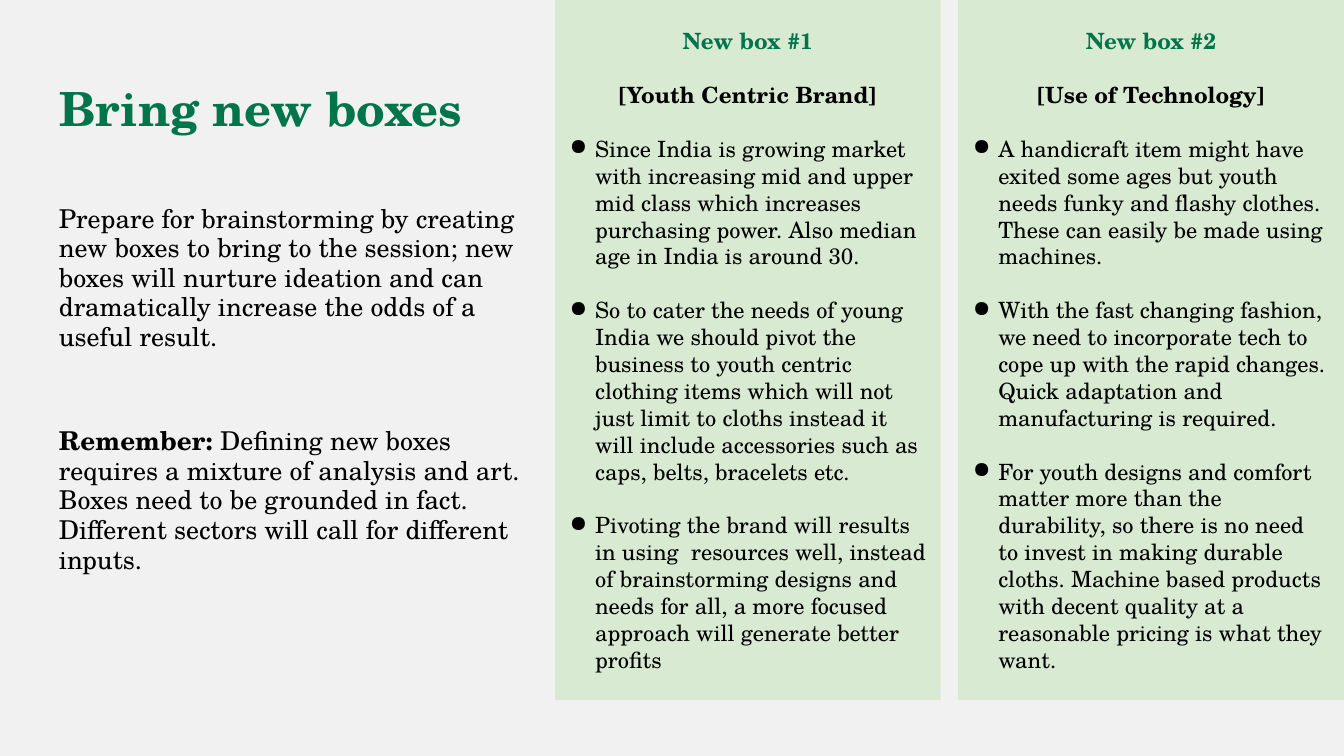
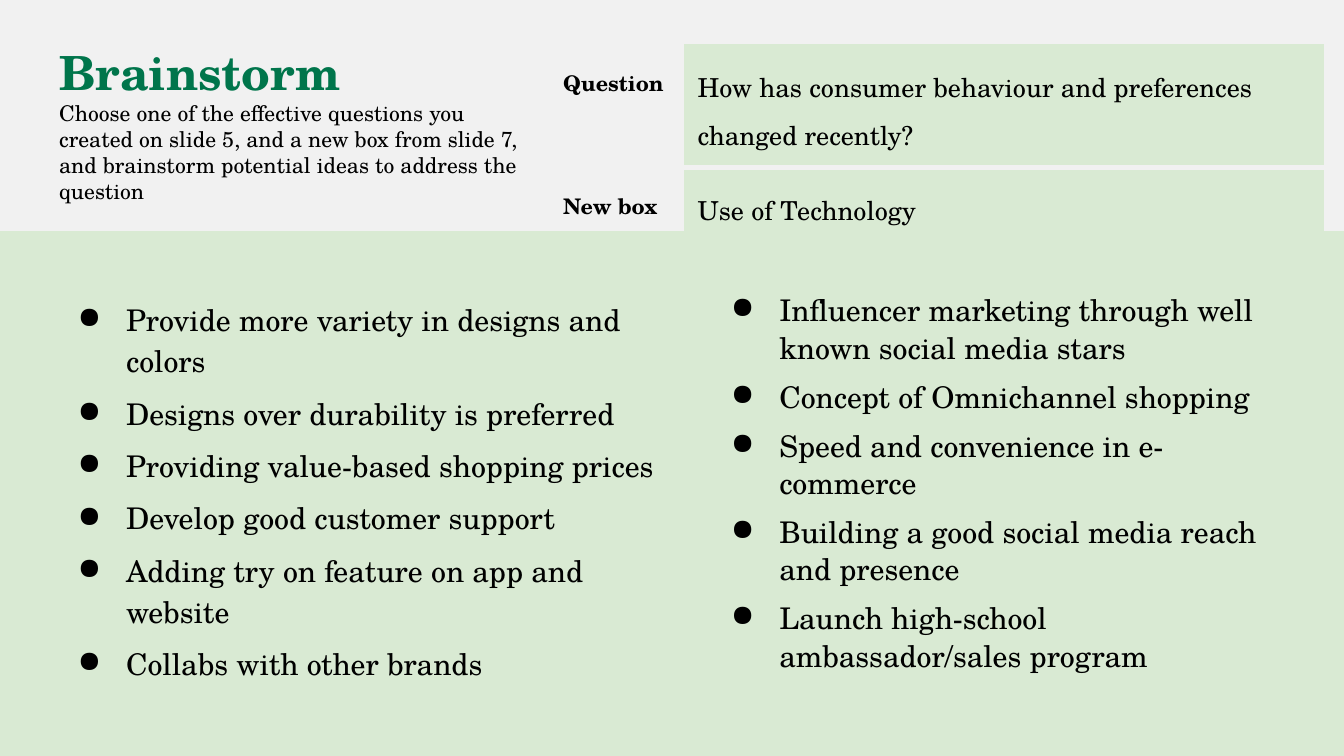
from dataclasses import dataclass
from typing import NamedTuple, Optional, Sequence

from lxml.etree import SubElement
from pptx import Presentation
from pptx.dml.color import RGBColor
from pptx.enum.shapes import MSO_SHAPE
from pptx.enum.text import MSO_ANCHOR, MSO_AUTO_SIZE, PP_ALIGN
from pptx.oxml.ns import qn
from pptx.util import Emu, Pt

EMU_PER_PX = 4572  # 200 px to the inch
SLIDE_W, SLIDE_H = 2000, 1125
INSET = 20
FONT = "TeX Gyre Schola"
GREEN, PALE_GREEN, GREY, BLACK = "00754B", "D9EAD3", "F1F1F1", "000000"
NO_STYLE_NO_GRID = "{2D5ABB26-0587-4C30-8999-92F81FD0307C}"
BLANK_LINE = 14.4


class Box(NamedTuple):
    left: int
    top: int
    width: int
    height: int


class Bullet(NamedTuple):
    margin: int
    hanging: int


@dataclass(frozen=True)
class Para:
    text: str
    size: float
    color: str = BLACK
    bold: bool = False
    lead: str = ""
    align: PP_ALIGN = PP_ALIGN.LEFT
    line: float = 1.0
    before: float = 0
    bullet: Optional[Bullet] = None


@dataclass(frozen=True)
class NewBox:
    heading: str
    topic: str
    points: tuple[str, ...]


@dataclass(frozen=True)
class IdeaColumn:
    box: Box
    line: float
    ideas: tuple[str, ...]


NEW_BOXES = (
    NewBox("New box #1", "[Youth Centric Brand]", (
        "Since India is growing market with increasing mid and upper mid class which "
        "increases purchasing power. Also median age in India is around 30.",
        "So to cater the needs of young India we should pivot the business to youth "
        "centric clothing items which will not just limit to cloths instead it will "
        "include accessories such as caps, belts, bracelets etc.",
        "Pivoting the brand will results in using  resources well, instead of "
        "brainstorming designs and needs for all, a more focused  approach will "
        "generate better profits",
    )),
    NewBox("New box #2", "[Use of Technology]", (
        "A handicraft item might have exited some ages but youth needs funky and "
        "flashy clothes. These can easily be made using machines.",
        "With the fast changing fashion, we need to incorporate tech to cope up with "
        "the rapid changes. Quick adaptation and manufacturing is required.",
        "For youth designs and comfort matter more than the durability, so there is no "
        "need to invest in making durable cloths. Machine based products with decent "
        "quality at a reasonable pricing is what they want.",
    )),
)

IDEA_COLUMNS = (
    IdeaColumn(Box(68, 430, 932, 652), 1.15, (
        "Provide more variety in designs and colors",
        "Designs over durability is preferred",
        "Providing value-based shopping prices",
        "Develop good customer support",
        "Adding try on feature on app and website",
        "Collabs with other brands",
    )),
    IdeaColumn(Box(1040, 430, 882, 630), 1.05, (
        "Influencer marketing through well known social media stars",
        "Concept of Omnichannel shopping",
        "Speed and convenience in e-commerce",
        "Building a good social media reach and presence",
        "Launch high-school ambassador/sales program",
    )),
)

BRIEF = (
    ("Question", "How has consumer behaviour and preferences changed recently?"),
    ("New box", "Use of Technology"),
)


def px(length: int) -> Emu:
    return Emu(length * EMU_PER_PX)


def rgb(color: str) -> RGBColor:
    return RGBColor.from_string(color)


def place(box: Box) -> tuple[Emu, ...]:
    return tuple(px(length) for length in box)


def add_bullet(paragraph, bullet: Bullet) -> None:
    props = paragraph._p.get_or_add_pPr()
    props.set("marL", str(px(bullet.margin)))
    props.set("indent", str(px(-bullet.hanging)))
    SubElement(SubElement(props, qn("a:buClr")), qn("a:srgbClr")).set("val", BLACK)
    SubElement(props, qn("a:buChar")).set("char", "●")


def write(frame, paras: Sequence[Para]) -> None:
    for index, para in enumerate(paras):
        paragraph = frame.add_paragraph() if index else frame.paragraphs[0]
        paragraph.alignment = para.align
        paragraph.line_spacing = para.line
        paragraph.space_before = Pt(para.before)
        if para.bullet:
            add_bullet(paragraph, para.bullet)
        font = paragraph.font
        font.name, font.size, font.bold = FONT, Pt(para.size), para.bold
        font.color.rgb = rgb(para.color)
        if para.lead:
            lead = paragraph.add_run()
            lead.text, lead.font.bold = para.lead, True
        paragraph.add_run().text = para.text


def fill_frame(frame, paras: Sequence[Para], anchor=MSO_ANCHOR.MIDDLE,
               top: int = INSET, bottom: int = INSET) -> None:
    """Set wrapping, anchor and insets of a text frame, then its paragraphs."""
    frame.word_wrap = True
    frame.auto_size = MSO_AUTO_SIZE.NONE
    frame.vertical_anchor = anchor
    frame.margin_left = frame.margin_right = px(INSET)
    frame.margin_top, frame.margin_bottom = px(top), px(bottom)
    write(frame, paras)


def add_titled_slide(prs, title: str, box: Box, *subtitle: Para):
    slide = prs.slides.add_slide(prs.slide_layouts[5])
    slide.background.fill.solid()
    slide.background.fill.fore_color.rgb = rgb(GREY)
    heading = slide.shapes.title
    heading.left, heading.top, heading.width, heading.height = place(box)
    fill_frame(heading.text_frame, [Para(title, 25.2, GREEN, True), *subtitle],
               MSO_ANCHOR.TOP)
    return slide


def add_panel(slide, box: Box):
    panel = slide.shapes.add_shape(MSO_SHAPE.RECTANGLE, *place(box))
    panel.shadow.inherit = False
    panel.fill.solid()
    panel.fill.fore_color.rgb = rgb(PALE_GREEN)
    panel.line.fill.background()
    return panel


def add_text(slide, box: Box, paras: Sequence[Para], **insets: int) -> None:
    fill_frame(slide.shapes.add_textbox(*place(box)).text_frame, paras, **insets)


def add_new_box(slide, box: Box, content: NewBox) -> None:
    bullet = Bullet(40, 38)
    paras = [
        Para(content.heading, 12, GREEN, True, align=PP_ALIGN.CENTER),
        Para(content.topic, 12, bold=True, align=PP_ALIGN.CENTER, before=BLANK_LINE),
        *(Para(point, 12, before=BLANK_LINE, bullet=bullet) for point in content.points),
    ]
    fill_frame(add_panel(slide, box).text_frame, paras)


def add_cell_border(cell, side: str) -> None:
    line = SubElement(cell._tc.get_or_add_tcPr(), qn(f"a:{side}"), w=str(Pt(3)))
    SubElement(SubElement(line, qn("a:solidFill")), qn("a:srgbClr")).set("val", GREY)


def add_brief_table(slide) -> None:
    frame = slide.shapes.add_table(len(BRIEF), 2, *place(Box(818, 66, 1152, 204)))
    table = frame.table
    table.first_row = table.horz_banding = False
    table._tbl.tblPr.find(qn("a:tableStyleId")).text = NO_STYLE_NO_GRID
    for column, width in zip(table.columns, (200, 952)):
        column.width = px(width)
    for row, (texts, border) in enumerate(zip(BRIEF, ("lnB", "lnT"))):
        table.rows[row].height = px(102)
        label, answer = table.cell(row, 0), table.cell(row, 1)
        add_cell_border(answer, border)
        label.fill.background()
        answer.fill.solid()
        answer.fill.fore_color.rgb = rgb(PALE_GREEN)
        for cell, text, size in zip((label, answer), texts, (11.5, 14)):
            cell.margin_left = cell.margin_right = px(INSET)
            cell.margin_top = cell.margin_bottom = px(INSET)
            write(cell.text_frame, [Para(text, size, bold=cell is label, line=1.25)])


def build_new_boxes(prs) -> None:
    slide = add_titled_slide(prs, "Bring new boxes", Box(68, 98, 1864, 126))
    add_text(slide, Box(68, 252, 732, 656), [
        Para("Prepare for brainstorming by creating new boxes to bring to the session; "
             "new boxes will nurture ideation and can dramatically increase the odds of "
             "a useful result.", 13.9, line=0.95),
        Para(" Defining new boxes requires a mixture of analysis and art. Boxes need to "
             "be grounded in fact. Different sectors will call for different inputs.",
             13.9, lead="Remember:", line=0.95, before=40),
    ])
    for index, content in enumerate(NEW_BOXES):
        add_new_box(slide, Box(826 + 600 * index, 0, 574, 1042), content)


def build_brainstorm(prs) -> None:
    slide = add_titled_slide(
        prs, "Brainstorm", Box(68, 44, 760, 126),
        Para("Choose one of the effective questions you created on slide 5, and a new box "
             "from slide 7, and brainstorm potential ideas to address the question", 11.6))
    add_panel(slide, Box(0, 344, SLIDE_W, SLIDE_H - 344))
    for column in IDEA_COLUMNS:
        paras = [Para(idea, 16, line=column.line, before=6 if index else 0,
                      bullet=Bullet(100, 72))
                 for index, idea in enumerate(column.ideas)]
        add_text(slide, column.box, paras, top=0, bottom=56)
    add_brief_table(slide)


def main() -> None:
    prs = Presentation()
    prs.slide_width, prs.slide_height = px(SLIDE_W), px(SLIDE_H)
    build_new_boxes(prs)
    build_brainstorm(prs)
    prs.save("out.pptx")


if __name__ == "__main__":
    main()
